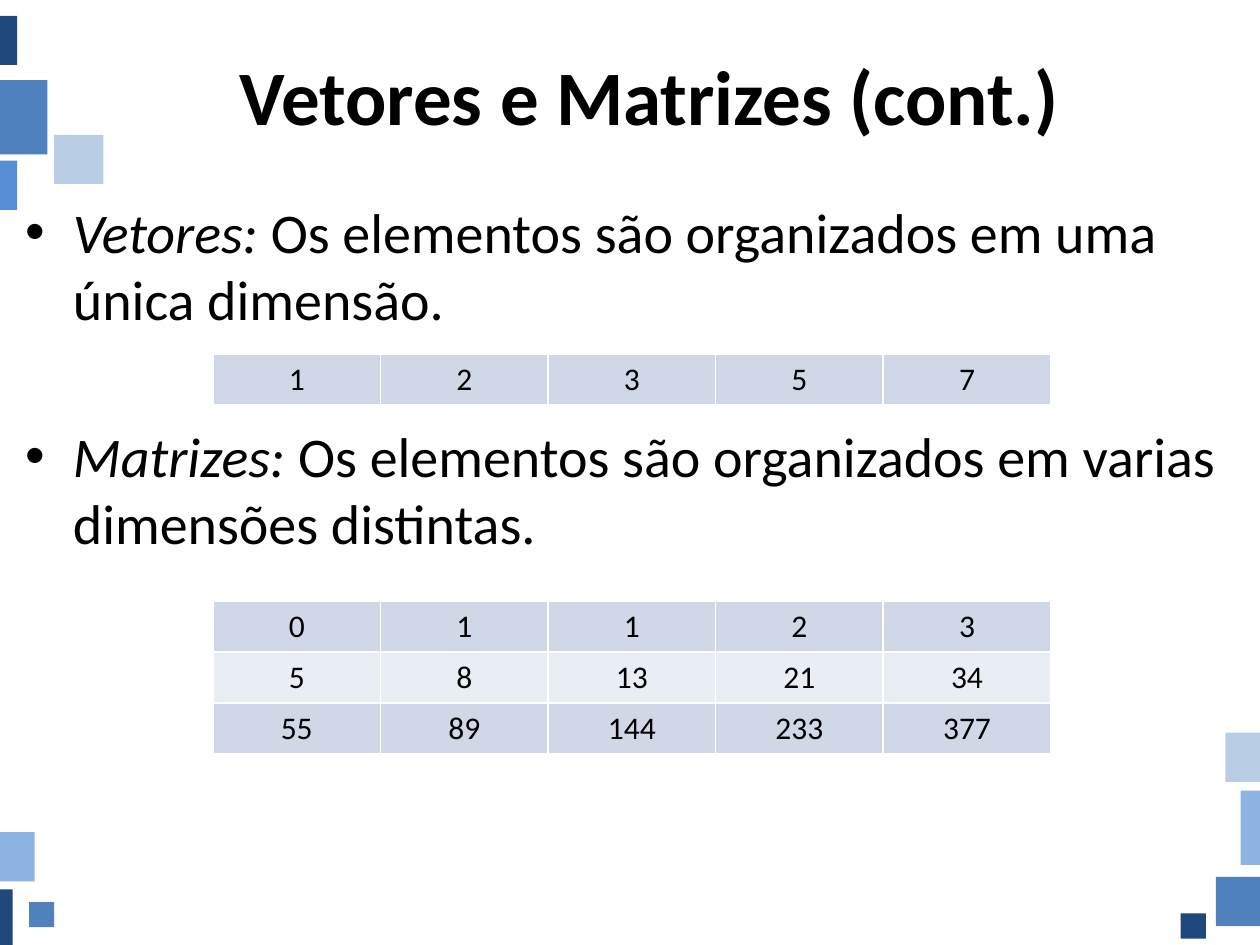
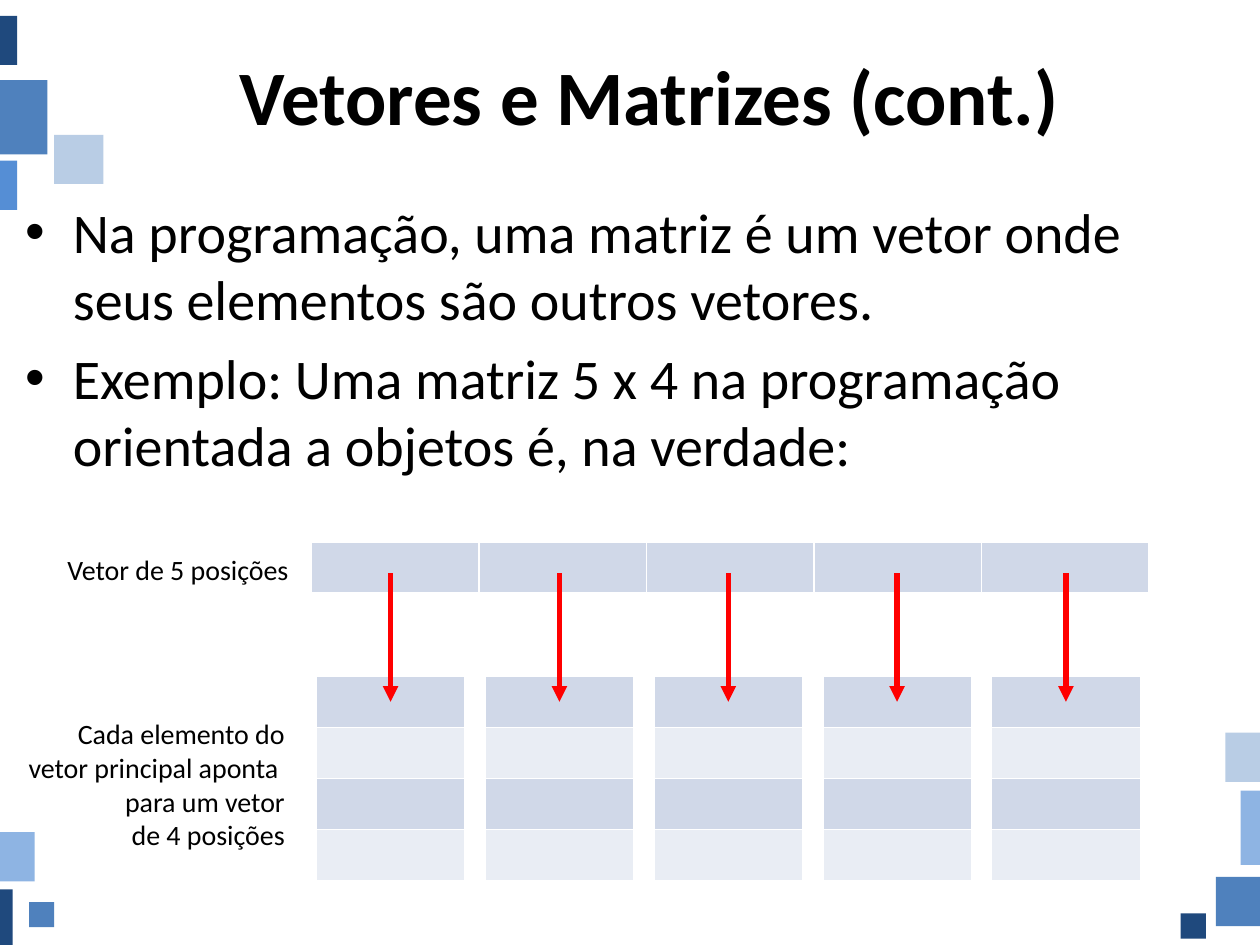
from lxml import etree
from pptx import Presentation
from pptx.dml.color import RGBColor
from pptx.enum.shapes import MSO_CONNECTOR, MSO_SHAPE
from pptx.enum.text import MSO_ANCHOR, MSO_AUTO_SIZE, PP_ALIGN
from pptx.oxml import parse_xml
from pptx.oxml.ns import nsdecls, qn
from pptx.util import Inches, Pt

LEFT, CENTER, RIGHT = PP_ALIGN.LEFT, PP_ALIGN.CENTER, PP_ALIGN.RIGHT
TOP, MIDDLE = MSO_ANCHOR.TOP, MSO_ANCHOR.MIDDLE
FIT = MSO_AUTO_SIZE.SHAPE_TO_FIT_TEXT
RECT, STRAIGHT = MSO_SHAPE.RECTANGLE, MSO_CONNECTOR.STRAIGHT

BLACK = RGBColor(0x00, 0x00, 0x00)
RED = RGBColor(0xFF, 0x00, 0x00)
NAVY = RGBColor(0x1F, 0x49, 0x7D)
BLUE = RGBColor(0x4F, 0x81, 0xBD)
BRIGHT = RGBColor(0x55, 0x8E, 0xD5)
SKY = RGBColor(0x8E, 0xB4, 0xE3)
PALE = RGBColor(0xB9, 0xCD, 0xE5)
BANDS = (RGBColor(0xD0, 0xD8, 0xE8), RGBColor(0xE9, 0xED, 0xF4))

FONT = "Calibri"
TITLE = "Vetores e Matrizes (cont.)"
ROW, COL, STEP = 0.405, 1.33, 1.34
GAP = 6.4  # points before a bullet, 20% of its size

# Corner blocks: left, top, width, height before the quarter turn, colour
BLOCKS = [
    (-0.13, 0.25, 0.39, 0.14, NAVY),
    (-0.11, 0.74, 0.59, 0.38, BLUE),
    (-0.13, 1.4, 0.39, 0.14, BRIGHT),
    (0.43, 1.07, 0.39, 0.39, PALE),
    (9.63, 6.98, 0.39, 0.35, BLUE),
    (9.63, 6.49, 0.59, 0.16, SKY),
    (9.67, 5.87, 0.39, 0.28, PALE),
    (9.37, 7.25, 0.2, 0.2, NAVY),
    (-0.17, 7.23, 0.44, 0.1, NAVY),
    (-0.06, 6.66, 0.39, 0.28, SKY),
    (0.23, 7.16, 0.2, 0.2, BLUE),
]


def write(frame, paras, size=18, bold=False, align=LEFT, anchor=TOP):
    """Fill a text frame; each paragraph is a list of (text, italic) runs."""
    frame.vertical_anchor = anchor
    for i, runs in enumerate(paras):
        para = frame.paragraphs[0] if i == 0 else frame.add_paragraph()
        para.alignment = align
        for text, slant in runs:
            run = para.add_run()
            run.text = text
            font = run.font
            font.name, font.size = FONT, Pt(size)
            font.bold, font.italic = bold, slant
            font.color.rgb = BLACK


def add_blocks(slide, layout):
    """Draw the corner blocks and move them to the back of the layout."""
    for i, (left, top, width, height, color) in enumerate(BLOCKS):
        block = slide.shapes.add_shape(
            RECT, Inches(left), Inches(top), Inches(width), Inches(height))
        block.rotation = 90
        block.shadow.inherit = False
        block.fill.solid()
        block.fill.fore_color.rgb = color
        block.line.fill.background()
        block.element.nvSpPr.cNvPr.set("id", str(20 + i))
        layout.shapes.element.insert(2 + i, block.element)


def add_title(slide):
    """Place and format the title placeholder."""
    title = slide.shapes.title
    title.left, title.top = Inches(0.43), Inches(0.13)
    title.width, title.height = Inches(9.45), Inches(1.25)
    write(title.text_frame, [[(TITLE, False)]], size=44, bold=True,
          align=CENTER, anchor=MIDDLE)


def add_body(slide, paras, gap=GAP):
    """Add the bullet list, with the given points between bullets."""
    box = slide.shapes.add_textbox(
        Inches(0.1), Inches(1.52), Inches(9.78), Inches(5.48))
    frame = box.text_frame
    frame.word_wrap = True
    write(frame, paras, size=32)
    for i, para in enumerate(frame.paragraphs):
        para.space_before = Pt(gap if i else GAP)
        props = para._p.get_or_add_pPr()
        props.set("marL", str(Inches(0.38)))
        props.set("indent", str(-Inches(0.38)))
        etree.SubElement(props, qn("a:buFont")).set("typeface", "Arial")
        etree.SubElement(props, qn("a:buChar")).set("char", "•")


def add_label(slide, lines, left, top, width, height):
    """Add a right-aligned label that does not wrap."""
    box = slide.shapes.add_textbox(
        Inches(left), Inches(top), Inches(width), Inches(height))
    box.text_frame.word_wrap = False
    box.text_frame.auto_size = FIT
    write(box.text_frame, [[(line, False)] for line in lines],
          size=16, align=RIGHT)


def add_edges(cell):
    """Give a cell thin white borders."""
    props = cell._tc.get_or_add_tcPr()
    for side in ("lnL", "lnR", "lnT", "lnB"):
        props.append(parse_xml(
            f'<a:{side} {nsdecls("a")} w="{Pt(1)}"><a:solidFill>'
            f'<a:srgbClr val="FFFFFF"/></a:solidFill></a:{side}>'))


def add_grid(slide, rows, left, top, width=COL):
    """Add a banded table whose columns all have one width."""
    count = len(rows[0])
    frame = slide.shapes.add_table(
        len(rows), count, Inches(left), Inches(top),
        Inches(width * count), Inches(ROW * len(rows)))
    table = frame.table
    table.first_row = table.horz_banding = False
    for col in table.columns:
        col.width = Inches(width)
    for i, row in enumerate(rows):
        table.rows[i].height = Inches(ROW)
        for j, value in enumerate(row):
            cell = table.cell(i, j)
            add_edges(cell)
            cell.fill.solid()
            cell.fill.fore_color.rgb = BANDS[i % 2]
            if value != "":
                cell.vertical_anchor = MIDDLE
                write(cell.text_frame, [[(str(value), False)]],
                      align=CENTER, anchor=MIDDLE)


def add_arrow(slide, x, top, end):
    """Add a red arrow that points straight down."""
    arrow = slide.shapes.add_connector(
        STRAIGHT, Inches(x), Inches(top), Inches(x), Inches(end))
    arrow.line.color.rgb = RED
    arrow.line.width = Pt(3)
    tail = etree.SubElement(arrow.line._get_or_add_ln(), qn("a:tailEnd"))
    tail.set("type", "triangle")
    etree.SubElement(arrow.element.spPr, qn("a:effectLst"))


def fill_kinds(slide):
    """Show a vector and a matrix with their definitions."""
    add_title(slide)
    add_body(slide, [
        [("Vetores: ", True),
         ("Os elementos são organizados em uma única dimensão.", False)],
        [("Matrizes: ", True),
         ("Os elementos são organizados em varias dimensões distintas.",
          False)],
    ], gap=51.2)
    add_grid(slide, [[1, 2, 3, 5, 7]], 1.69, 2.81)
    add_grid(slide, [[0, 1, 1, 2, 3], [5, 8, 13, 21, 34],
                     [55, 89, 144, 233, 377]], 1.69, 4.77)


def fill_nested(slide):
    """Show a matrix as a vector whose cells point to vectors."""
    add_title(slide)
    add_body(slide, [
        [("Na programação, uma matriz é um vetor onde seus elementos "
          "são outros vetores.", False)],
        [("Exemplo: Uma matriz 5 x 4 na programação orientada a objetos "
          "é, na verdade:", False)],
    ])
    add_grid(slide, [[""] * 5], 2.47, 4.3)
    for i in range(5):
        add_grid(slide, [[""]] * 4, 2.51 + STEP * i, 5.37, width=1.18)
    for i in range(5):
        add_arrow(slide, 3.1 + STEP * i, 4.55, 5.57)
    add_label(slide, ["Vetor de 5 posições"], 0.41, 4.34, 1.98, 0.37)
    add_label(slide, ["Cada elemento do", "vetor principal aponta ",
                      "para um vetor", "de 4 posições"],
              0.1, 5.64, 2.26, 1.18)


def main():
    """Build both slides and save them."""
    deck = Presentation()
    deck.slide_width, deck.slide_height = Inches(10), Inches(7.5)
    layout = deck.slide_layouts[5]
    kinds, nested = (deck.slides.add_slide(layout) for _ in range(2))
    add_blocks(kinds, layout)
    fill_kinds(kinds)
    fill_nested(nested)
    deck.save("out.pptx")


main()
